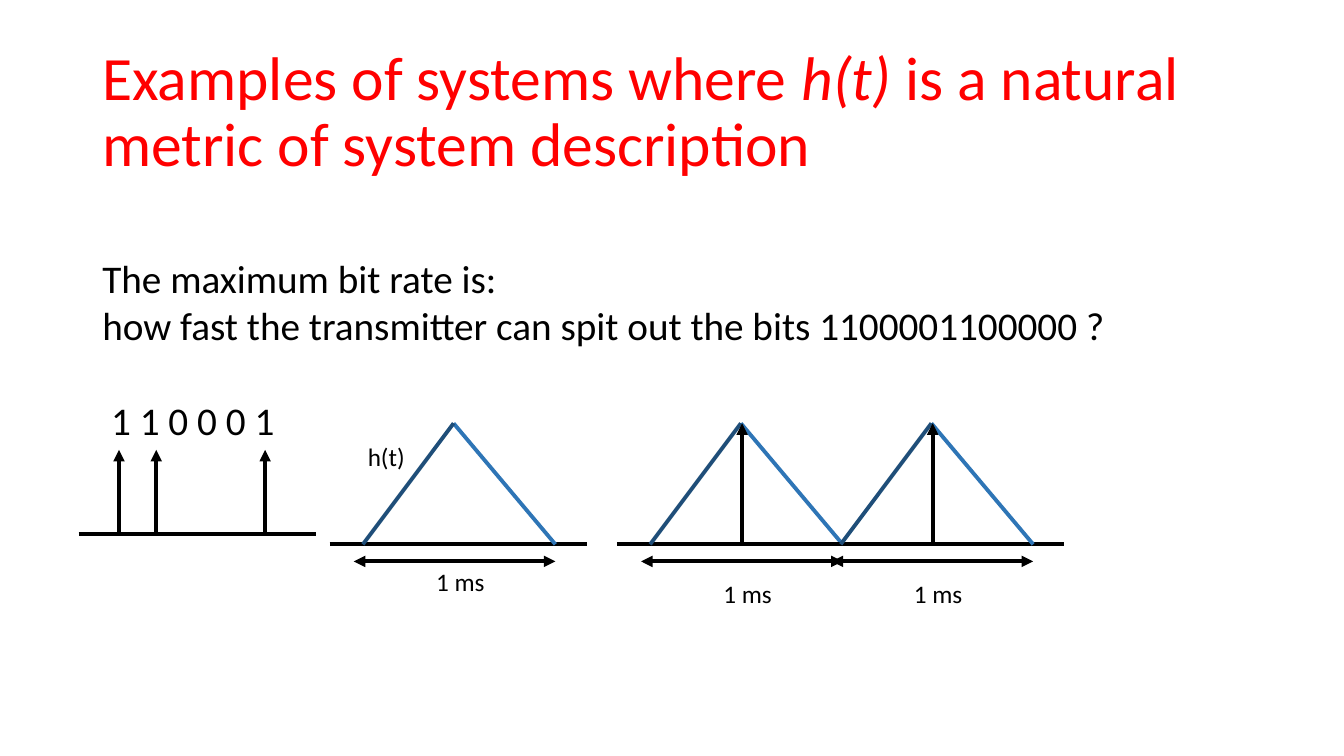
from lxml import etree
from pptx import Presentation
from pptx.dml.color import RGBColor
from pptx.enum.shapes import MSO_CONNECTOR
from pptx.enum.text import MSO_ANCHOR, MSO_AUTO_SIZE
from pptx.oxml.ns import qn
from pptx.util import Pt

STRAIGHT = MSO_CONNECTOR.STRAIGHT
MIDDLE = MSO_ANCHOR.MIDDLE
FIT_SHAPE = MSO_AUTO_SIZE.SHAPE_TO_FIT_TEXT

COLORS = {"title": "FF0000", "ink": "000000", "rise": "1F4E79", "fall": "2E75B6"}
FONT = "Calibri"
LINE_WIDTH = 2.75
PEAK_TOP, AXIS_TOP, SPAN_TOP = 302.4, 388.8, 401


class SlideBuilder:
    def __init__(self, presentation):
        self.slide = presentation.slides.add_slide(presentation.slide_layouts[6])
        self.shapes = self.slide.shapes

    def text(self, shapes, box, paragraphs, size, color="ink", frame_format=None):
        """Add a text box; each paragraph is (list of (text, run format), paragraph format)."""
        text_frame = shapes.add_textbox(*map(Pt, box)).text_frame
        frame_values = {"word_wrap": True, **(frame_format or {})}
        for name, value in frame_values.items():
            setattr(text_frame, name, value)
        for index, (runs, paragraph_format) in enumerate(paragraphs):
            paragraph = text_frame.paragraphs[0] if index == 0 else text_frame.add_paragraph()
            for name, value in paragraph_format.items():
                setattr(paragraph, name, value)
            for words, run_format in runs:
                run = paragraph.add_run()
                run.text = words
                run.font.color.rgb = RGBColor.from_string(COLORS[color])
                for name, value in {"name": FONT, "size": Pt(size), **run_format}.items():
                    setattr(run.font, name, value)
        return text_frame

    def line(self, shapes, start, end, color="ink", arrowheads=()):
        """Add a line; arrowheads holds "headEnd" (start) and/or "tailEnd" (end)."""
        connector = shapes.add_connector(STRAIGHT, *map(Pt, (*start, *end)))
        connector.line.width = Pt(LINE_WIDTH)
        connector.line.color.rgb = RGBColor.from_string(COLORS[color])
        outline = connector.line._get_or_add_ln()
        for arrowhead in arrowheads:
            etree.SubElement(outline, qn("a:" + arrowhead), type="triangle")
        etree.SubElement(connector._element.spPr, qn("a:effectLst"))

    def impulse(self, start, end):
        self.line(self.shapes, start, end, arrowheads=["tailEnd"])

    def response(self, peak, label_top):
        """Add one grouped triangular impulse response with its axis and duration."""
        shapes = self.shapes.add_group_shape().shapes
        self.line(shapes, (peak - 88.6, AXIS_TOP), (peak + 95, AXIS_TOP))
        for color, offset in (("fall", 72.7), ("rise", -64.8)):
            self.line(shapes, (peak, PEAK_TOP), (peak + offset, AXIS_TOP), color)
        self.line(shapes, (peak - 71.3, SPAN_TOP), (peak + 72.7, SPAN_TOP),
                  arrowheads=["headEnd", "tailEnd"])
        self.text(shapes, (peak - 19.6, label_top, 80.6, 29.1), [([("1 ms", {})], {})], 18,
                  frame_format={"auto_size": FIT_SHAPE})


def main():
    presentation = Presentation()
    presentation.slide_width, presentation.slide_height = Pt(960), Pt(540)
    builder = SlideBuilder(presentation)
    shapes = builder.shapes

    title_runs = [
        ("Examples of systems where ", {}),
        ("h(t) ", {"italic": True}),
        ("is a natural metric of system description", {}),
    ]
    builder.text(shapes, (66, 28.8, 828, 104.4), [(title_runs, {"line_spacing": 0.9})], 44,
                 "title", {"vertical_anchor": MIDDLE})

    question = [
        ([("The maximum bit rate is:", {})], {}),
        ([("how fast the transmitter can spit out the bits 1100001100000 ?", {})], {}),
        ([("1 1 0 0 0 1", {})], {"space_before": Pt(34.2)}),
    ]
    body = builder.text(shapes, (66, 177.8, 740.2, 143.3), question, 28,
                        frame_format={"word_wrap": False, "auto_size": FIT_SHAPE})
    bits_properties = body.paragraphs[-1]._p.get_or_add_pPr()
    bits_properties.set("marL", str(Pt(6.3)))
    bits_properties.set("indent", "0")

    bit_axis = 381.6
    builder.line(shapes, (56.2, bit_axis), (225.4, bit_axis))
    for bit_left in (85, 111.6, 189.4):
        builder.impulse((bit_left, bit_axis), (bit_left, 321.4))

    builder.text(shapes, (255.6, 311.8, 78.5, 29.1), [([("h(t)", {})], {})], 18,
                 frame_format={"auto_size": FIT_SHAPE})
    builder.response(324, SPAN_TOP)
    for peak in (529.2, 665.3):
        builder.response(peak, 409.7)
        builder.impulse((peak + 0.9, AXIS_TOP), (peak + 0.9, PEAK_TOP))

    presentation.save("out.pptx")


if __name__ == "__main__":
    main()
